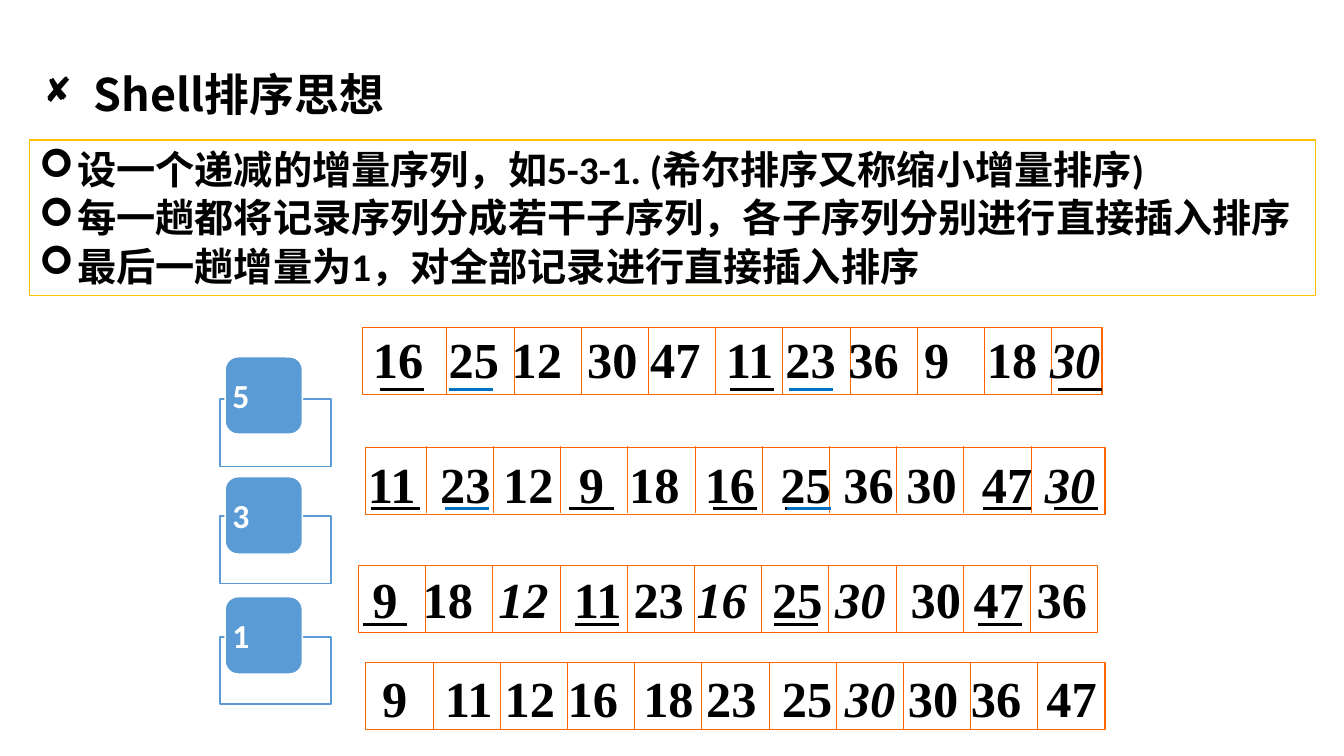
import dataclasses

import lxml.etree
import pptx
import pptx.dml.color
import pptx.enum.shapes
import pptx.enum.text
import pptx.oxml.ns
import pptx.util

COLUMNS = 40
SLIDE_WIDTH = pptx.util.Inches(13.333)
SLIDE_HEIGHT = pptx.util.Inches(7.5)
RECTANGLE = pptx.enum.shapes.MSO_SHAPE.RECTANGLE
ROUNDED = pptx.enum.shapes.MSO_SHAPE.ROUNDED_RECTANGLE
CELL, CELL_COUNT = 2, 11
DIGIT, SPACE, KERNING = 0.75, 0.375, 0.1
MARK_WIDTH = 1.31


@dataclasses.dataclass(frozen=True)
class Theme:
    """Colours, fonts and type sizes of the slide."""
    ink: str = "000000"
    paper: str = "FFFFFF"
    gold: str = "FFC000"
    orange: str = "FF6600"
    blue: str = "5B9BD5"
    mark_blue: str = "0070C0"
    heading: str = "Noto Sans CJK SC"
    body: str = "Calibri"
    number: str = "Times New Roman"
    bullet: str = "Wingdings"
    title_size: int = 32
    body_size: int = 28
    step_size: int = 24
    number_size: int = 36


@dataclasses.dataclass(frozen=True)
class Pass:
    """One state of the list; an asterisk sets a number in italics."""
    left: float
    top: float
    first_divider: float
    divider_shift: float
    text_left: float
    text_top: float
    numbers: str
    gaps: tuple
    mark_top: float = 0
    black_marks: tuple = ()
    blue_marks: tuple = ()


THEME = Theme()
PASSES = (
    Pass(10.8, 9.75, 2.5, 0, 0.3, 0.02, "16 25 12 30 47 11 23 36 9 18 30*",
         (2, 1, 2, 1, 2, 1, 1, 2, 3, 1), 1.83, (0.5, 10.92, 20.7), (2.57, 12.69)),
    Pass(10.89, 13.32, 1.8, -0.05, 0.06, 0.18, "11 23 12 9 18 16 25 36 30 47 30*",
         (2, 1, 2, 2, 2, 2, 1, 1, 2, 1), 1.82,
         (0.15, 0.3, 6.06, 10.32, 12.48, 18.36, 18.48, 20.49), (2.34, 12.54)),
    Pass(10.67, 16.83, 2, 0, 0.41, 0.07, "9 18 12* 11 23 16* 25 30* 30 47 36",
         (2, 2, 2, 1, 1, 2, 1, 2, 1, 1), 1.76, (0.12, 6.45, 12.36, 18.45)),
    Pass(10.89, 19.71, 2, 0, 0.48, 0.16, "9 11 12 16 18 23 25 30* 30 36 47",
         (3, 1, 1, 2, 1, 2, 1, 1, 1, 2)),
)


def grid(units):
    """Turn grid columns or rows into a length."""
    return round(SLIDE_WIDTH * units / COLUMNS)


def color(value):
    """Return an RGB colour."""
    return pptx.dml.color.RGBColor.from_string(value)


def add_box(slide, kind, box, fill, line, width):
    """Add a preset shape, filled or hollow, with a coloured outline."""
    shape = slide.shapes.add_shape(kind, *map(grid, box))
    shape.shadow.inherit = False
    if fill:
        shape.fill.solid()
        shape.fill.fore_color.rgb = color(fill)
    else:
        shape.fill.background()
    shape.line.color.rgb = color(line)
    shape.line.width = pptx.util.Pt(width)
    return shape


def add_line(slide, start, end, ink, width):
    """Add a straight line without a shadow."""
    line = slide.shapes.add_connector(
        pptx.enum.shapes.MSO_CONNECTOR.STRAIGHT, *map(grid, start + end))
    line.line.color.rgb = color(ink)
    line.line.width = pptx.util.Pt(width)
    properties = line._element.spPr
    lxml.etree.SubElement(properties, pptx.oxml.ns.qn("a:effectLst"))


def style_run(run, size, font, ink=THEME.ink):
    """Format a run in bold, with a matching East Asian font."""
    run.font.size = pptx.util.Pt(size)
    run.font.bold = True
    run.font.name = font
    run.font.color.rgb = color(ink)
    east_asian = lxml.etree.Element(pptx.oxml.ns.qn("a:ea"), typeface=THEME.heading)
    run.font._element.find(pptx.oxml.ns.qn("a:latin")).addnext(east_asian)


def add_bullet(paragraph, symbol, indent):
    """Give a paragraph a bullet with a hanging indent."""
    paragraph.alignment = pptx.enum.text.PP_ALIGN.LEFT
    properties = paragraph._p.get_or_add_pPr()
    properties.set("marL", str(grid(indent)))
    properties.set("indent", str(-grid(indent)))
    lxml.etree.SubElement(properties, pptx.oxml.ns.qn("a:buFont"), typeface=THEME.bullet)
    lxml.etree.SubElement(properties, pptx.oxml.ns.qn("a:buChar"), char=symbol)


def draw_title(slide, box):
    """Draw the bulleted heading."""
    frame = slide.shapes.add_textbox(*map(grid, box)).text_frame
    frame.word_wrap = True
    frame.vertical_anchor = pptx.enum.text.MSO_ANCHOR.MIDDLE
    frame.text = "Shell排序思想"
    paragraph = frame.paragraphs[0]
    paragraph.line_spacing = 0.9
    add_bullet(paragraph, "◻", 1.5)
    style_run(paragraph.runs[0], THEME.title_size, THEME.heading)


def draw_idea(slide, box):
    """Draw the framed explanation of the method."""
    frame = add_box(slide, RECTANGLE, box, THEME.paper, THEME.gold, 1).text_frame
    frame.word_wrap = True
    frame.vertical_anchor = pptx.enum.text.MSO_ANCHOR.TOP
    frame.text = "\n".join((
        "设一个递减的增量序列，如5-3-1. (希尔排序又称缩小增量排序)",
        "每一趟都将记录序列分成若干子序列，各子序列分别进行直接插入排序",
        "最后一趟增量为1，对全部记录进行直接插入排序",
    ))
    for paragraph in frame.paragraphs:
        paragraph.space_before = pptx.util.Pt(1)
        add_bullet(paragraph, "➢", 1.14)
        style_run(paragraph.runs[0], THEME.body_size, THEME.body)


def draw_step(slide, box, plate_shift, label):
    """Draw an increment tile in front of its plate."""
    left, top, width, height = box
    add_box(slide, RECTANGLE, (left - 0.15, top + plate_shift, 3.3, 2),
            THEME.paper, THEME.blue, 1)
    tile = add_box(slide, ROUNDED, box, THEME.blue, THEME.paper, 1)
    frame = tile.text_frame
    frame.margin_left = grid(0.1)
    frame.vertical_anchor = pptx.enum.text.MSO_ANCHOR.MIDDLE
    frame.text = label
    paragraph = frame.paragraphs[0]
    paragraph.alignment = pptx.enum.text.PP_ALIGN.LEFT
    style_run(paragraph.runs[0], THEME.step_size, THEME.body, THEME.paper)


def draw_numbers(slide, box, numbers, gaps):
    """Write numbers on one line, each at its own tab stop."""
    frame = slide.shapes.add_textbox(*map(grid, box)).text_frame
    frame.word_wrap = True
    frame.margin_left = frame.margin_right = frame.margin_top = frame.margin_bottom = 0
    paragraph = frame.paragraphs[0]
    stops = lxml.etree.SubElement(
        paragraph._p.get_or_add_pPr(), pptx.oxml.ns.qn("a:tabLst"))
    position = 0
    for index, number in enumerate(numbers.split()):
        digits = number.rstrip("*")
        if index:
            lxml.etree.SubElement(stops, pptx.oxml.ns.qn("a:tab"),
                                  pos=str(grid(position)), algn="l")
        run = paragraph.add_run()
        run.text = "\t" + digits if index else digits
        style_run(run, THEME.number_size, THEME.number)
        run.font.italic = number.endswith("*")
        position += DIGIT * len(digits) + SPACE * (gaps + (0,))[index]
        if digits == "11":
            position -= KERNING


def draw_pass(slide, row):
    """Draw one row of cells with its numbers and underlines."""
    add_box(slide, RECTANGLE, (row.left, row.top, CELL * CELL_COUNT, CELL),
            None, THEME.orange, 0.75)
    top = row.top + row.divider_shift
    for index in range(CELL_COUNT - 1):
        x = row.left + row.first_divider + CELL * index
        add_line(slide, (x, top), (x, top + CELL), THEME.orange, 0.75)
    draw_numbers(slide, (row.left + row.text_left, row.top + row.text_top, 23, 1.8),
                 row.numbers, row.gaps)
    y = row.top + row.mark_top
    for ink, marks in ((THEME.ink, row.black_marks), (THEME.mark_blue, row.blue_marks)):
        for mark in marks:
            x = row.left + mark
            add_line(slide, (x, y), (x + MARK_WIDTH, y), ink, 2.25)


def main():
    """Build and save the slide."""
    presentation = pptx.Presentation()
    presentation.slide_width = SLIDE_WIDTH
    presentation.slide_height = SLIDE_HEIGHT
    slide = presentation.slides.add_slide(presentation.slide_layouts[6])
    draw_title(slide, (1, 1.8, 38.25, 2.2))
    draw_idea(slide, (0.87, 4.17, 38.28, 4.62))
    for index, (label, shift) in enumerate((("5", 1.26), ("3", 1.17), ("1", 1.2))):
        draw_step(slide, (6.7, 10.62 + 3.57 * index, 2.3, 2.3), shift, label)
    for row in PASSES:
        draw_pass(slide, row)
    presentation.save("out.pptx")


if __name__ == "__main__":
    main()
